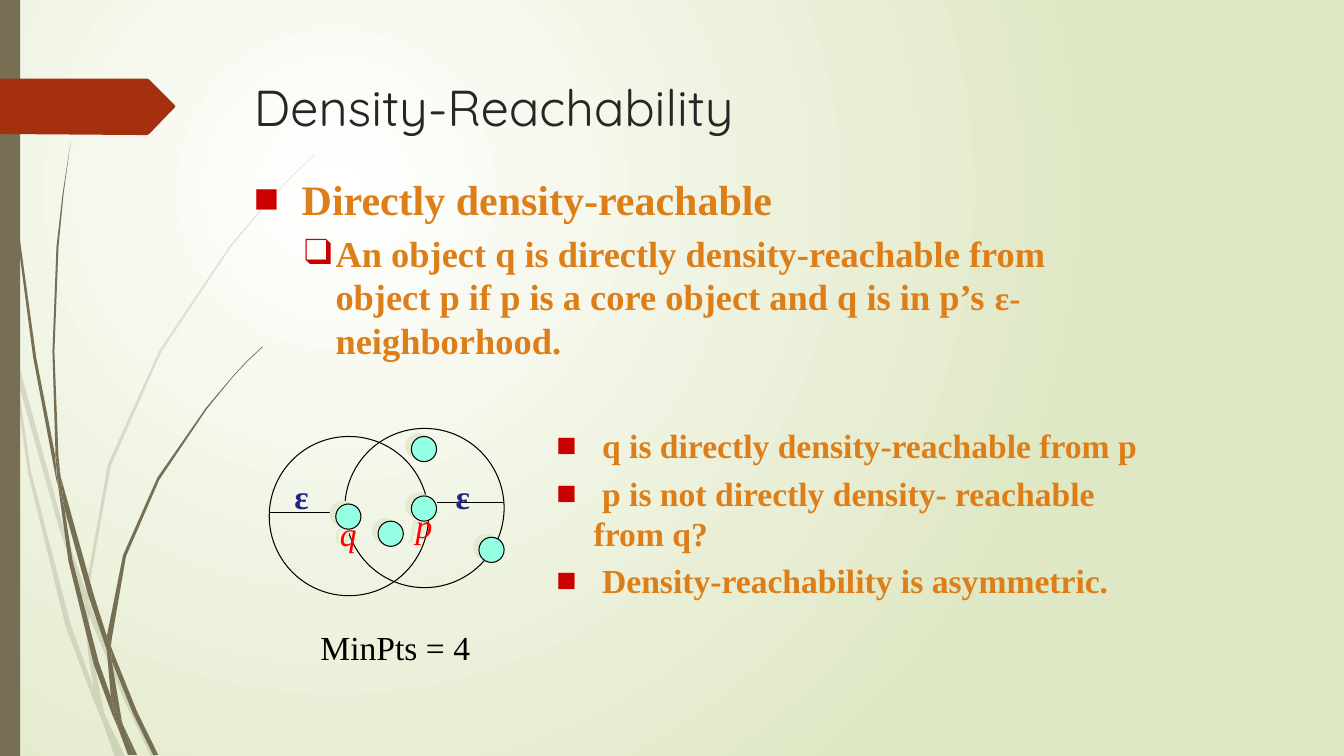
from lxml import etree
from pptx import Presentation, util as u
from pptx.dml.color import RGBColor
from pptx.enum import shapes, text
from pptx.oxml import parse_xml
from pptx.oxml.ns import nsdecls, qn

OLIVE = RGBColor(0x76, 0x6F, 0x54)
RUST = RGBColor(0xA5, 0x30, 0x10)
CHARCOAL = RGBColor(0x26, 0x26, 0x26)
ORANGE = RGBColor(0xDE, 0x7E, 0x18)
CRIMSON = RGBColor(0xCC, 0x00, 0x00)
RED = RGBColor(0xFF, 0x00, 0x00)
NAVY = RGBColor(0x23, 0x23, 0x8E)
AQUA = RGBColor(0x95, 0xFF, 0xE3)
SAGE = RGBColor(0xE3, 0xEA, 0xCF)
BLACK = RGBColor(0, 0, 0)
SERIF = "Times New Roman"

# Outlines of the pieces of the grass blades, in inches.
PALE_GRASS = [
    [(.11, 3.5), (.09, 3.22), (0, 2.82), (0, 2.99), (.1, 3.44)],
    [(.58, 5.22), (.84, 5.99), (.85, 5.86), (.62, 5.2), (.14, 3.45), (.17, 3.76)],
    [(.92, 6.07), (.88, 5.96), (.88, 6.1), (1.23, 6.94), (1.5, 7.51), (1.55, 7.51),
     (1.27, 6.92)],
    [(1.19, 7.51), (1.24, 7.51), (1.05, 7.11)],
    [(.93, 6.83), (.7, 6.19), (.31, 4.69), (.17, 3.76), (.11, 3.5), (.28, 4.7),
     (.65, 6.21), (.92, 6.93), (1.01, 7.14), (.99, 7.07)],
    [(.84, 5.99), (.87, 6.46), (.93, 6.83), (.96, 6.92), (1.05, 7.11), (1.03, 7.06),
     (.91, 6.46), (.88, 6.1), (.88, 6.08)],
    [(.88, 5.84), (1.1, 4.62), (1.6, 3.49), (2.29, 2.45), (2.68, 1.98), (2.9, 1.75),
     (3.12, 1.54), (3.12, 1.53), (2.89, 1.75), (2.68, 1.97), (2.28, 2.44), (1.58, 3.48),
     (1.07, 4.61), (.85, 5.84), (.85, 5.86), (.88, 5.96)],
    [(1.01, 7.14), (1.14, 7.51), (1.19, 7.51)],
    [(.88, 6.08), (.88, 6.1), (.88, 5.96), (.85, 5.86), (.84, 5.99)],
    [(.96, 6.92), (.93, 6.83), (.99, 7.07), (1.01, 7.14), (1.19, 7.51), (1.05, 7.11)],
]
DARK_GRASS = [
    [(.07, 1.1), (.17, 2.33), (.33, 3.55), (.56, 4.77), (.57, 4.81), (.55, 4.57),
     (.55, 4.53), (.36, 3.55), (.19, 2.32), (.08, 1.09), (.05, .48), (.04, 0), (.03, 0),
     (.04, .48)],
    [(.88, 5.92), (1.06, 6.45), (1.06, 6.33), (1.06, 6.31), (.93, 5.9), (.6, 4.72),
     (.64, 5.05)],
    [(1.13, 6.49), (1.1, 6.41), (1.11, 6.56), (1.32, 7.08), (1.52, 7.49), (1.57, 7.49),
     (1.36, 7.06)],
    [(1.1, 6.91), (.98, 6.57), (.72, 5.56), (.64, 5.05), (.57, 4.77), (.68, 5.57),
     (.93, 6.59), (1.11, 7.08), (1.17, 7.22), (1.16, 7.17)],
    [(.6, 4.72), (.58, 4.53), (.54, 3.49), (.58, 2.45), (.63, 1.93), (.7, 1.41),
     (.62, 1.93), (.56, 2.45), (.52, 3.49), (.55, 4.49)],
    [(1.33, 7.49), (1.36, 7.49), (1.22, 7.19)],
    [(.57, 4.77), (.64, 5.05), (.6, 4.72), (.55, 4.49), (.55, 4.53)],
    [(1.11, 6.33), (1.25, 5.52), (1.58, 4.76), (2.05, 4.06), (2.31, 3.74), (2.45, 3.59),
     (2.61, 3.44), (2.6, 3.44), (2.45, 3.58), (2.31, 3.73), (2.04, 4.05), (1.56, 4.74),
     (1.22, 5.51), (1.06, 6.31), (1.1, 6.41)],
    [(1.17, 7.22), (1.27, 7.49), (1.31, 7.49)],
    [(1.06, 6.45), (1.1, 6.91), (1.16, 7.06), (1.22, 7.19), (1.21, 7.16), (1.11, 6.56),
     (1.09, 6.51)],
    [(1.06, 6.45), (1.09, 6.51), (1.11, 6.56), (1.1, 6.41), (1.06, 6.31), (1.06, 6.33)],
    [(1.16, 7.06), (1.1, 6.91), (1.16, 7.17), (1.17, 7.22), (1.3, 7.49), (1.33, 7.49),
     (1.22, 7.19)],
]
TAG = [(1.74, 1.06), (1.48, 1.33), (1.46, 1.34), (1.36, 1.34), (0, 1.33), (0, .78),
       (1.36, .78), (1.46, .78), (1.48, .79), (1.73, 1.04)]


def cm(inches):
    return u.Cm(2.54 * inches)


class Sheet:
    def __init__(self, deck):
        self.slide = deck.slides.add_slide(deck.slide_layouts[6])
        self.shapes = self.slide.shapes

    def backdrop(self):
        self.slide.background.fill.gradient()
        gradient = next(self.slide.element.iter(qn("a:gradFill")))
        gradient.getparent().replace(gradient, parse_xml(
            f'<a:gradFill {nsdecls("a")} rotWithShape="1"><a:gsLst>'
            '<a:gs pos="0"><a:srgbClr val="FFFFFF"/></a:gs>'
            '<a:gs pos="100000"><a:srgbClr val="DFE8C4"/></a:gs></a:gsLst>'
            '<a:path path="circle"><a:fillToRect l="50000" t="50000" r="100000" b="100000"/>'
            '</a:path></a:gradFill>'))

    def paint(self, shape, fill=None, outline=None):
        shape.shadow.inherit = False
        if fill is None:
            shape.fill.background()
        else:
            shape.fill.solid()
            shape.fill.fore_color.rgb = fill
        if outline is None:
            shape.line.fill.background()
        else:
            shape.line.color.rgb = outline
            shape.line.width = u.Pt(.75)
        return shape

    def preset(self, kind, box, fill=None, outline=None):
        return self.paint(self.shapes.add_shape(kind, *map(cm, box)), fill, outline)

    def outline(self, corners, fill, opacity=None):
        start, *rest = [(cm(x), cm(y)) for x, y in corners]
        builder = self.shapes.build_freeform(*start)
        builder.add_line_segments(rest, close=True)
        area = self.paint(builder.convert_to_shape(), fill)
        if opacity:
            colour = next(area._element.spPr.iter(qn("a:srgbClr")))
            etree.SubElement(colour, qn("a:alpha")).set("val", str(opacity * 1000))

    def radius(self, start, end, y):
        line = self.shapes.add_connector(shapes.MSO_CONNECTOR.STRAIGHT,
                                         cm(start), cm(y), cm(end), cm(y))
        line.line.color.rgb = BLACK
        line.line.width = u.Pt(.75)
        etree.SubElement(line._element.spPr, qn("a:effectLst"))

    def point(self, x, y, letter=None):
        """Draw a data object with a hard shadow and perhaps a letter."""
        dot = self.preset(shapes.MSO_SHAPE.OVAL, (x, y, .25, .25), AQUA, BLACK)
        dot._element.spPr.find(qn("a:effectLst")).append(parse_xml(
            f'<a:outerShdw {nsdecls("a")} dist="57150" dir="12420000" algn="ctr" '
            f'rotWithShape="0"><a:srgbClr val="{SAGE}"/></a:outerShdw>'))
        if letter:
            frame = dot.text_frame
            frame.text = letter
            frame.word_wrap = False
            frame.vertical_anchor = text.MSO_ANCHOR.TOP
            frame.paragraphs[0].alignment = text.PP_ALIGN.CENTER
            self.style(frame.paragraphs[0].runs[0], 24, RED, italic=True)

    def style(self, run, size, colour, face=SERIF, bold=False, italic=False):
        font = run.font
        font.size, font.name, font.bold, font.italic = u.Pt(size), face, bold, italic
        font.color.rgb = colour

    def frame(self, box, wrap=True):
        frame = self.shapes.add_textbox(*map(cm, box)).text_frame
        frame.word_wrap = wrap
        return frame

    def label(self, box, words, size, colour, centred=False, **font):
        frame = self.frame(box, wrap=not centred)
        frame.text = words
        if centred:
            frame.paragraphs[0].alignment = text.PP_ALIGN.CENTER
        self.style(frame.paragraphs[0].runs[0], size, colour, **font)

    def bullets(self, box, items):
        """Each item is bullet, left margin, hanging indent, then (words, size) pieces."""
        frame = self.frame(box)
        for index, (mark, margin, hanging, pieces) in enumerate(items):
            paragraph = frame.add_paragraph() if index else frame.paragraphs[0]
            if index:
                paragraph.space_before = u.Pt(5)
            properties = paragraph._p.get_or_add_pPr()
            properties.set("marL", str(cm(margin)))
            properties.set("indent", str(-cm(hanging)))
            colour = etree.SubElement(properties, qn("a:buClr"))
            etree.SubElement(colour, qn("a:srgbClr")).set("val", str(CRIMSON))
            etree.SubElement(properties, qn("a:buFont")).set("typeface", SERIF)
            etree.SubElement(properties, qn("a:buChar")).set("char", mark)
            for words, size in pieces:
                run = paragraph.add_run()
                run.text = words
                self.style(run, size, ORANGE, bold=words != " ")


def main():
    deck = Presentation()
    deck.slide_width, deck.slide_height = cm(13.33), cm(7.5)
    sheet = Sheet(deck)
    sheet.backdrop()

    for corners in PALE_GRASS:
        sheet.outline(corners, OLIVE, opacity=20)
    for corners in DARK_GRASS:
        sheet.outline(corners, OLIVE)
    sheet.preset(shapes.MSO_SHAPE.RECTANGLE, (0, 0, .2, 7.5), OLIVE)
    sheet.outline(TAG, RUST)

    sheet.label((2.42, .71, 8.4, .96), "Density-Reachability", 36, CHARCOAL, face="Quicksand")
    sheet.bullets((2.42, 1.67, 8.5, 2.08), [
        ("■", .37, .37, [(" ", 30), ("Directly density-reachable", 30)]),
        ("❑", .81, .31, [("An object q is directly density-reachable from object p if p is "
                          "a core object and q is in p’s ", 26),
                         ("ε-", 24), ("neighborhood.", 26)]),
    ])

    sheet.radius(2.67, 3.33, 5.08)
    for x, y in [(2.67, 4.33), (3.42, 4.25)]:
        sheet.preset(shapes.MSO_SHAPE.OVAL, (x, y, 1.58, 1.58), outline=BLACK)
    for x, y, letter in [(4.08, 4.33, None), (3.33, 5, "q"), (3.75, 5.17, None),
                         (4.75, 5.33, None), (4.08, 4.92, "p")]:
        sheet.point(x, y, letter)
    sheet.radius(4.33, 5, 4.99)
    for x in (4.42, 2.82):
        sheet.label((x, 4.67, .34, .5), "ε", 24, NAVY, centred=True, bold=True)

    findings = [" q is directly density-reachable from p",
                " p is not directly density- reachable from q?",
                " Density-reachability is asymmetric."]
    sheet.bullets((5.42, 4.17, 6.08, 2.08),
                  [("■", .37, .37, [(finding, 24)]) for finding in findings])
    sheet.label((3.08, 6.17, 3.17, .5), "MinPts = 4", 24, BLACK)
    deck.save("out.pptx")


if __name__ == "__main__":
    main()
